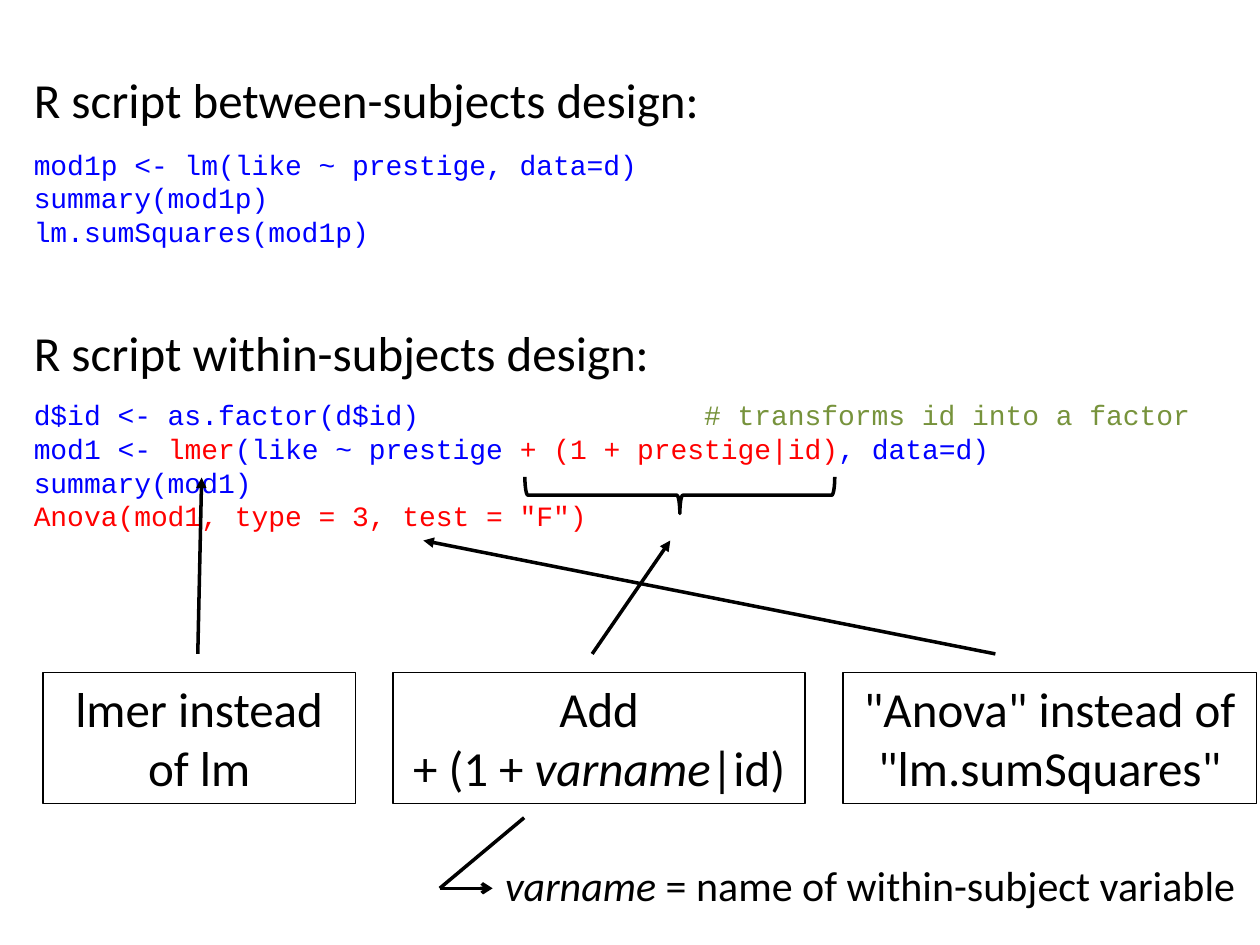
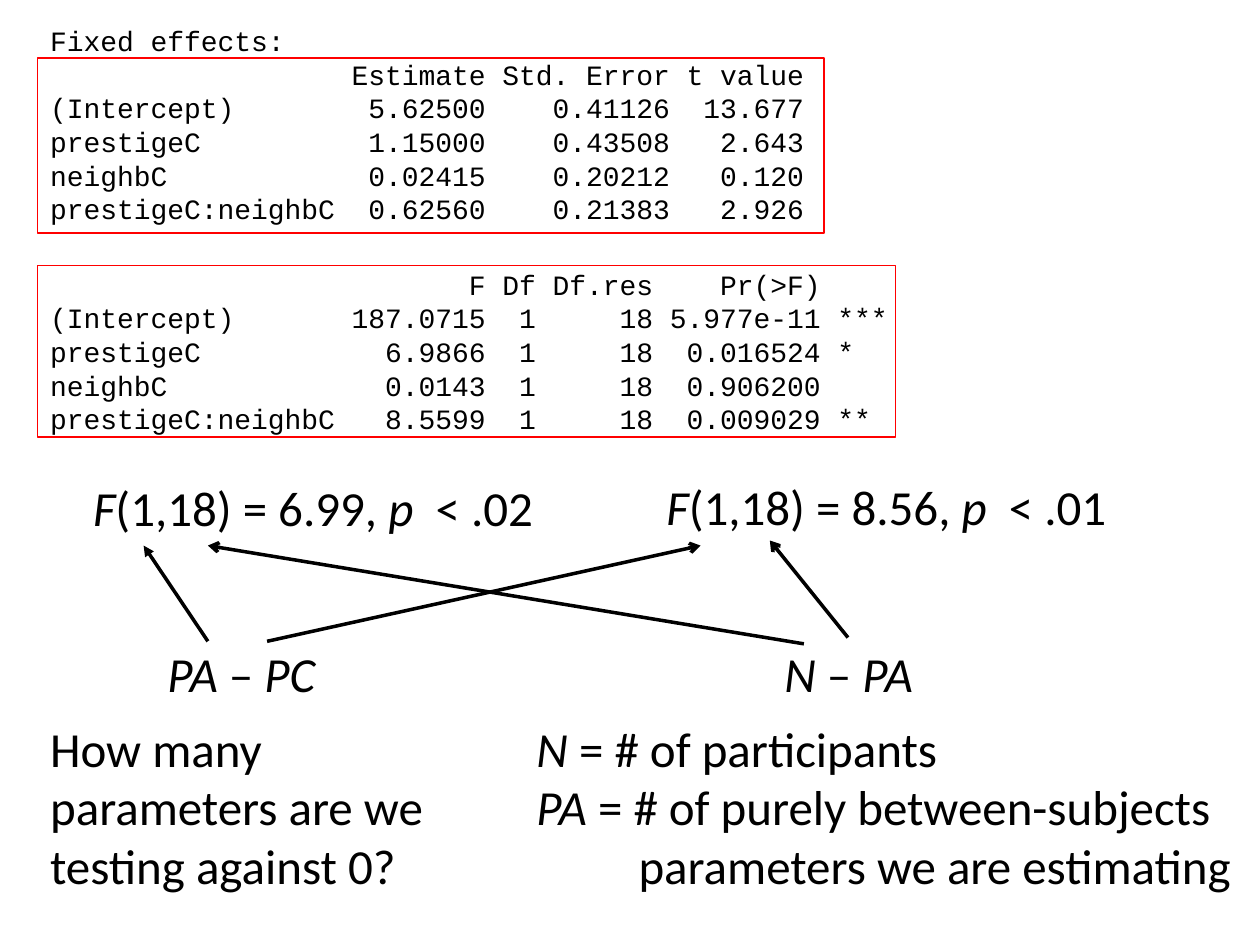
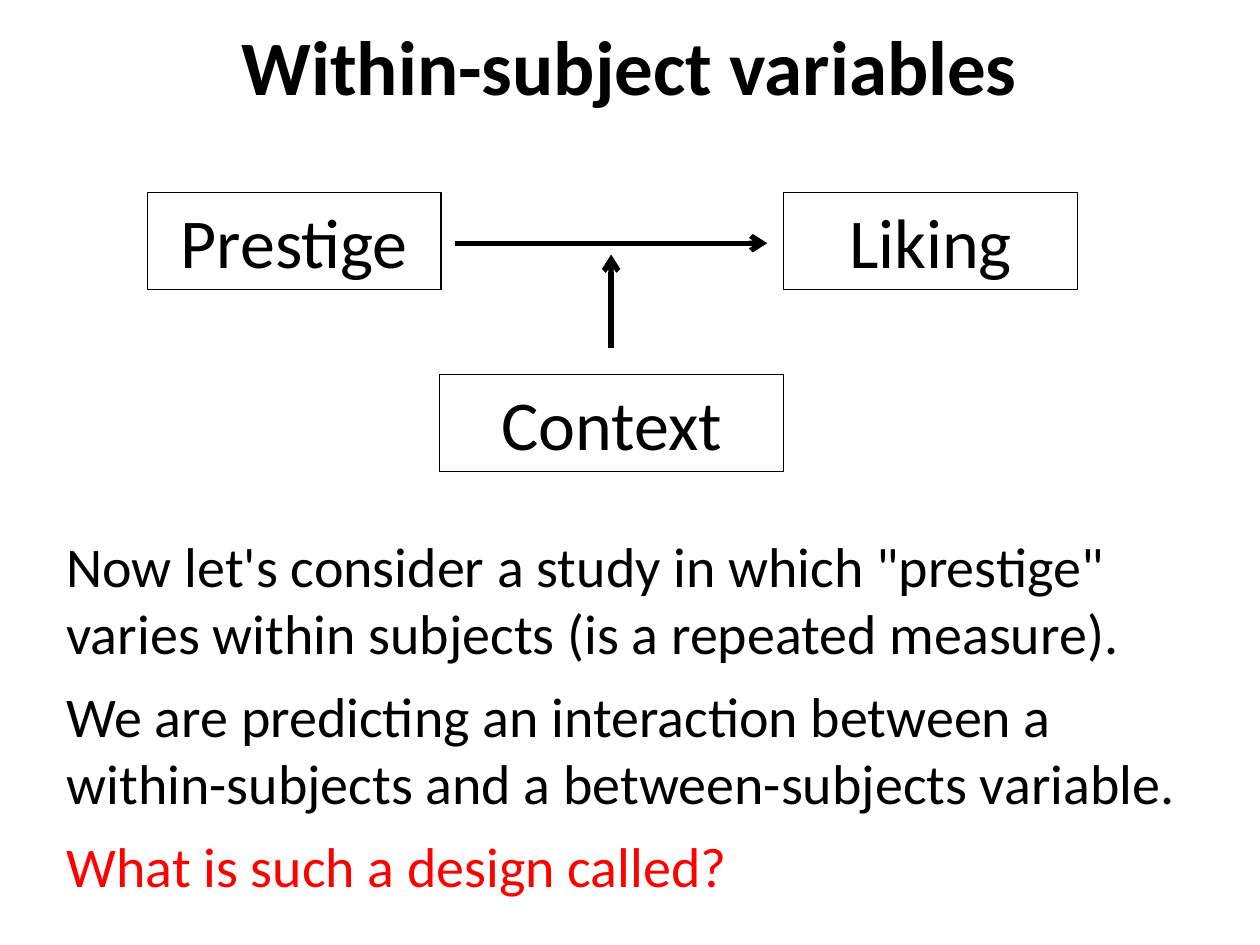
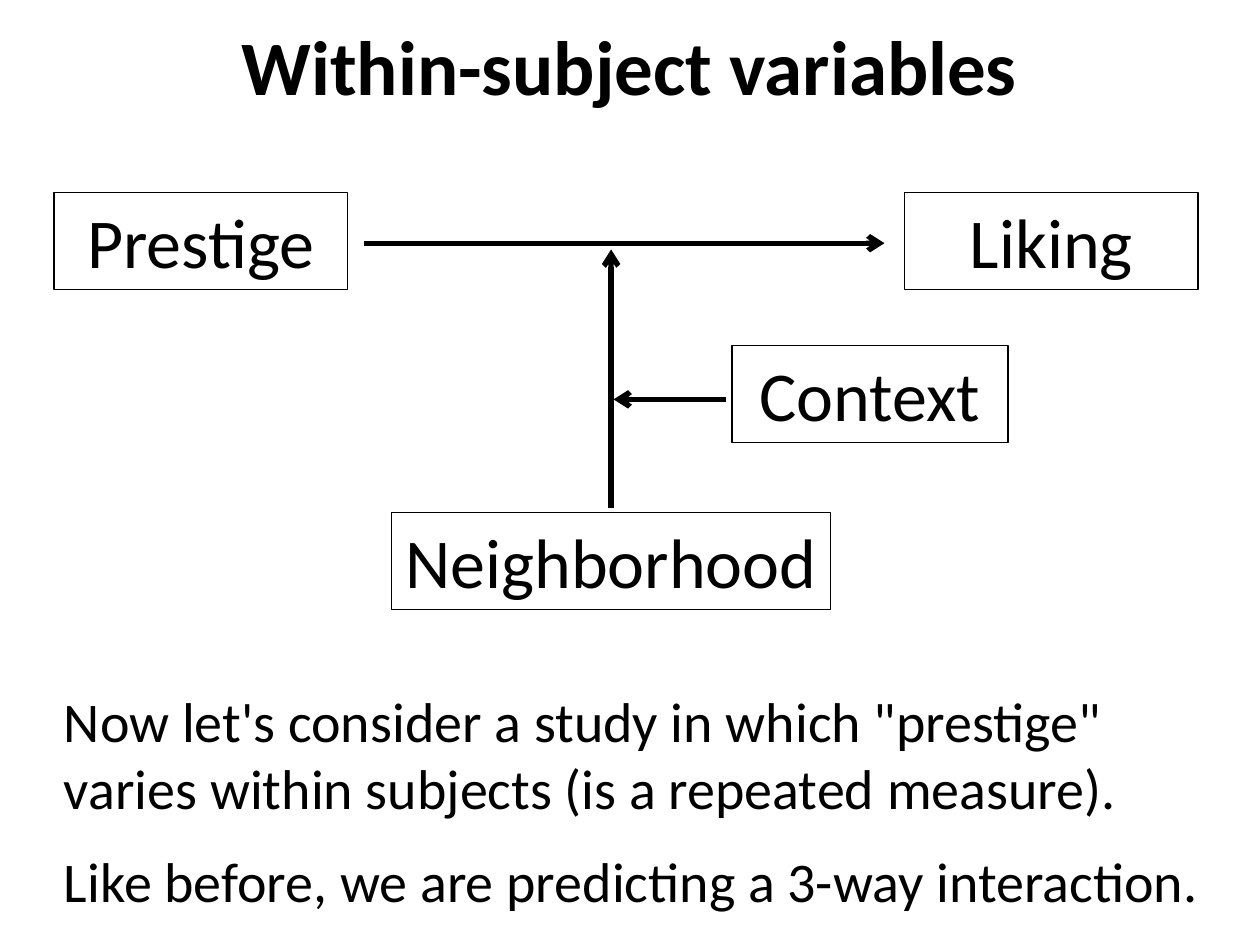
import pptx
import pptx.util
from lxml import etree
from pptx.dml.color import RGBColor
from pptx.enum.shapes import MSO_CONNECTOR, MSO_SHAPE
from pptx.enum.text import MSO_ANCHOR, PP_ALIGN
from pptx.oxml.ns import qn
from pptx.util import Inches

COLORS = {"black": "000000", "blue": "0000FF", "red": "FF0000", "green": "77933C"}
BODY, CODE = "Calibri", "Courier New"
LINE_HEIGHT = 1.2
TITLE = "Within-subject variables"
STUDY = 'Now let\'s consider a study in which "prestige" varies within subjects (is a repeated measure).'

BETWEEN_CODE = [
    "mod1p <- lm(like ~ prestige, data=d)",
    "summary(mod1p)",
    "lm.sumSquares(mod1p)",
]
WITHIN_CODE = [
    ["d$id <- as.factor(d$id)                 ", ("# transforms id into a factor", "green")],
    ["mod1 <- ", ("lmer", "red"), "(like ~ prestige ", ("+ (1 + prestige|id)", "red"), ", data=d)"],
    "summary(mod1)",
    [('Anova(mod1, type = 3, test = "F")', "red")],
]
CHANGES = [
    (0.34, 2.48, ["lmer instead", "of lm"]),
    (3.12, 3.27, ["Add", ["+ (1 + ", ("varname", "italic"), "|id)"]]),
    (6.69, 3.28, ['"Anova" instead of', '"lm.sumSquares"']),
]
CHANGE_ARROWS = [
    (1.57, 5.19, 1.6, 3.79, "triangle"),
    (4.7, 5.19, 5.32, 4.29, "triangle"),
    (7.9, 5.19, 3.36, 4.29, "triangle"),
    (4.16, 6.49, 3.49, 7.05, None),
    (3.49, 7.05, 3.91, 7.05, "arrow"),
]

FIXED_EFFECTS = [
    "Fixed effects:",
    "                  Estimate Std. Error t value",
    "(Intercept)        5.62500    0.41126  13.677",
    "prestigeC          1.15000    0.43508   2.643",
    "neighbC            0.02415    0.20212   0.120",
    "prestigeC:neighbC  0.62560    0.21383   2.926",
]
F_TESTS = [
    "                         F Df Df.res    Pr(>F)",
    "(Intercept)       187.0715  1     18 5.977e-11 ***",
    "prestigeC           6.9866  1     18  0.016524 *",
    "neighbC             0.0143  1     18  0.906200",
    "prestigeC:neighbC   8.5599  1     18  0.009029 **",
]
OUTPUT_FRAMES = [(0.3, 0.46, 6.24, 1.39), (0.3, 2.11, 6.81, 1.36)]
F_RESULTS = [(0.64, 3.74, "6.99", ".02"), (5.19, 3.73, "8.56", ".01")]
DF_FORMULAS = [(0.37, "PA", "PC"), (5.19, "N", "PA")]
DF_QUESTION = "How many parameters are we testing against 0?"
DF_LEGEND = [
    [("N", "italic"), " = # of participants"],
    [("PA", "italic"), " = # of purely between-subjects parameters we are estimating"],
]
DF_ARROWS = [
    (1.65, 5.09, 1.14, 4.33, "triangle"),
    (6.38, 5.11, 1.65, 4.33, "arrow"),
    (2.12, 5.09, 5.56, 4.33, "arrow"),
    (6.73, 5.06, 6.11, 4.29, "arrow"),
]

MODELS = [
    {
        "variables": [("Prestige", 1.17, 1.53, 2.33), ("Liking", 6.22, 1.53, 2.33),
                      ("Context", 3.49, 2.97, 2.73)],
        "arrows": [(3.61, 1.93, 6.09, 1.93), (4.85, 2.76, 4.85, 2.02)],
        "left": 0.43,
        "statements": [
            (4.17, 1.17, STUDY, "black"),
            (5.36, 1.17, "We are predicting an interaction between a within-subjects "
                         "and a between-subjects variable.", "black"),
            (6.55, 0.64, "What is such a design called?", "red"),
        ],
    },
    {
        "variables": [("Prestige", 0.43, 1.53, 2.33), ("Liking", 7.18, 1.53, 2.33),
                      ("Neighborhood", 3.11, 4.07, 3.48), ("Context", 5.81, 2.74, 2.19)],
        "arrows": [(2.89, 1.93, 7.02, 1.93), (4.85, 4.03, 4.85, 1.98), (5.76, 3.17, 4.87, 3.17)],
        "left": 0.41,
        "statements": [
            (5.4, 1.17, STUDY, "black"),
            (6.67, 0.64, "Like before, we are predicting a 3-way interaction.", "black"),
        ],
    },
]


def rgb(name):
    return RGBColor.from_string(COLORS[name])


def write(sp, paragraphs, size, font=BODY, color="black", align=PP_ALIGN.LEFT):
    tf = sp.text_frame
    tf.word_wrap = True
    tf.vertical_anchor = MSO_ANCHOR.TOP
    for i, runs in enumerate(paragraphs):
        p = tf.add_paragraph() if i else tf.paragraphs[0]
        p.alignment = align
        p.line_spacing = pptx.util.Pt(size * LINE_HEIGHT)
        p.font.name = font
        p.font.size = pptx.util.Pt(size)
        p.font.color.rgb = rgb(color)
        for run in [runs] if isinstance(runs, str) else runs:
            text, style = (run, None) if isinstance(run, str) else run
            r = p.add_run()
            r.text = text
            r.font.name = font
            r.font.size = pptx.util.Pt(size)
            r.font.color.rgb = rgb(style if style in COLORS else color)
            if style == "italic":
                r.font.italic = True
    return tf


def add_text(s, at, paragraphs, size, **style):
    sp = s.shapes.add_textbox(*map(Inches, at))
    return write(sp, paragraphs, size, **style)


def add_outline(s, at, color="black", width=0.75, kind=MSO_SHAPE.RECTANGLE):
    sp = s.shapes.add_shape(kind, *map(Inches, at))
    sp.shadow.inherit = False
    sp.fill.background()
    sp.line.color.rgb = rgb(color)
    sp.line.width = pptx.util.Pt(width)
    return sp


def add_arrow(s, ends, width, head):
    c = s.shapes.add_connector(MSO_CONNECTOR.STRAIGHT, *map(Inches, ends))
    c.line.color.rgb = rgb("black")
    c.line.width = pptx.util.Pt(width)
    spPr = c._element.spPr
    if head:
        etree.SubElement(spPr.find(qn("a:ln")), qn("a:tailEnd"), type=head)
    etree.SubElement(spPr, qn("a:effectLst"))


def add_scripts(s):
    for top, heading in ((0.5, "between"), (2.51, "within")):
        add_text(s, (0.17, top, 6.31, 0.57), [f"R script {heading}-subjects design:"], 28)
    add_text(s, (0.17, 1.12, 9.7, 1.44), BETWEEN_CODE, 16, font=CODE, color="blue")
    add_text(s, (0.17, 3.11, 9.7, 1.17), WITHIN_CODE, 16, font=CODE, color="blue")
    for left, width, lines in CHANGES:
        sp = add_outline(s, (left, 5.34, width, 1.04))
        write(sp, lines, 28, align=PP_ALIGN.CENTER)
    add_text(s, (3.91, 6.77, 6.09, 0.5),
             [[("varname", "italic"), " = name of within-subject variable"]], 24)
    brace = add_outline(s, (5.25, 2.7, 0.29, 2.46), width=2, kind=MSO_SHAPE.RIGHT_BRACE)
    brace.rotation = 90
    for *ends, head in CHANGE_ARROWS:
        add_arrow(s, ends, 2, head)


def add_results(s):
    tf = add_text(s, (0.3, 0.14, 9.7, 3.37), FIXED_EFFECTS + F_TESTS, 16, font=CODE)
    tf.paragraphs[len(FIXED_EFFECTS)].space_before = pptx.util.Pt(24)
    for at in OUTPUT_FRAMES:
        add_outline(s, at, "red")
    for left, top, f, p in F_RESULTS:
        add_text(s, (left, top, 3.94, 0.57),
                 [[("F", "italic"), f"(1,18) = {f}, ", ("p", "italic"), f"  < {p}"]], 28)
    for left, first, second in DF_FORMULAS:
        add_text(s, (left, 5.06, 3.09, 0.57),
                 [[(first, "italic"), " – ", (second, "italic")]], 28, align=PP_ALIGN.CENTER)
    add_text(s, (0.3, 5.65, 3.27, 1.5), [DF_QUESTION], 28)
    tf = add_text(s, (4.16, 5.65, 5.84, 1.5), DF_LEGEND, 28)
    for p in tf.paragraphs:
        pPr = p._p.get_or_add_pPr()
        pPr.set("marL", str(Inches(0.81)))
        pPr.set("indent", str(-Inches(0.81)))
    for *ends, head in DF_ARROWS:
        add_arrow(s, ends, 2, head)


def add_title(s):
    sp = s.shapes.title
    sp.left, sp.top, sp.width, sp.height = map(Inches, (0, -0.02, 10, 1.06))
    sp.text_frame.text = TITLE
    sp.text_frame.vertical_anchor = MSO_ANCHOR.MIDDLE
    p = sp.text_frame.paragraphs[0]
    p.alignment = PP_ALIGN.CENTER
    p.font.name = BODY
    p.font.size = pptx.util.Pt(44)
    p.font.bold = True
    p.font.color.rgb = rgb("black")


def add_model(s, model):
    add_title(s)
    for top, height, text, color in model["statements"]:
        add_text(s, (model["left"], top, 9.33, height), [text], 32, color=color)
    for name, left, top, width in model["variables"]:
        sp = add_outline(s, (left, top, width, 0.77))
        write(sp, [name], 40, align=PP_ALIGN.CENTER)
    for ends in model["arrows"]:
        add_arrow(s, ends, 3, "arrow")


def main():
    prs = pptx.Presentation()
    prs.slide_width, prs.slide_height = Inches(10), Inches(7.5)
    title_only, blank = prs.slide_layouts[5], prs.slide_layouts[6]
    add_scripts(prs.slides.add_slide(blank))
    add_results(prs.slides.add_slide(blank))
    for model in MODELS:
        add_model(prs.slides.add_slide(title_only), model)
    prs.save("out.pptx")


if __name__ == "__main__":
    main()
